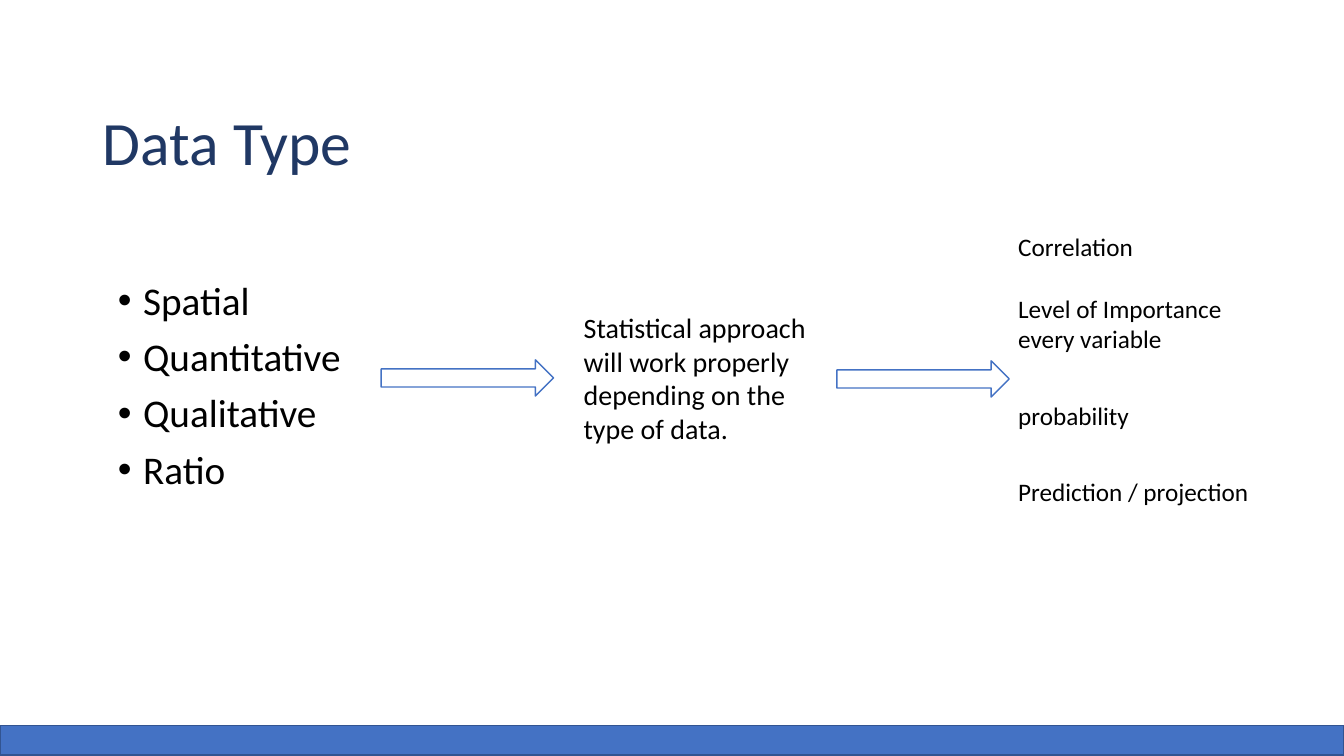
from pptx import Presentation
from pptx.dml.color import RGBColor
from pptx.enum.shapes import MSO_SHAPE
from pptx.enum.text import MSO_ANCHOR, MSO_AUTO_SIZE, PP_ALIGN
from pptx.oxml.xmlchemy import OxmlElement
from pptx.util import Inches, Pt

ARROW = MSO_SHAPE.RIGHT_ARROW
RECTANGLE = MSO_SHAPE.RECTANGLE
LEFT = PP_ALIGN.LEFT
TOP = MSO_ANCHOR.TOP
MIDDLE = MSO_ANCHOR.MIDDLE
FIXED = MSO_AUTO_SIZE.NONE
GROW = MSO_AUTO_SIZE.SHAPE_TO_FIT_TEXT

FONT = "Calibri"
BLACK, WHITE, NAVY = "000000", "FFFFFF", "203864"
BLUE, DARK_BLUE = "4472C4", "325491"

DATA_TYPES = ["Spatial", "Quantitative", "Qualitative", "Ratio"]
APPROACH = "Statistical approach will work properly depending on the type of data."
OUTCOMES = [
    ("Correlation", 2.25, 2.11, 0.4),
    ("Level of Importance every variable", 2.86, 2.65, 0.71),
    ("probability", 3.92, 2.65, 0.4),
    ("Prediction / projection", 4.68, 2.65, 0.4),
]
ARROWS = [(3.78, 3.57), (8.3, 3.58)]


def color(hex_text):
    """Turn a hex string into a colour."""
    return RGBColor.from_string(hex_text)


def place(shape, left, top, width, height):
    """Move and size a shape, in inches."""
    shape.left, shape.top = Inches(left), Inches(top)
    shape.width, shape.height = Inches(width), Inches(height)


def add_span(para, text, size, hex_text):
    """Add one formatted run to a left-aligned paragraph."""
    para.alignment = LEFT
    span = para.add_run()
    span.text = text
    span.font.name = FONT
    span.font.size = Pt(size)
    span.font.color.rgb = color(hex_text)


def set_bullet(para, indent):
    """Give a paragraph a round bullet with a hanging indent."""
    properties = para._p.get_or_add_pPr()
    properties.set("marL", str(Inches(indent)))
    properties.set("indent", str(-Inches(indent)))
    bullet = OxmlElement("a:buChar")
    bullet.set("char", "•")
    properties.append(bullet)


def fill_title(title, text):
    """Place and write the title."""
    place(title, 0.92, 1.03, 6.04, 0.82)
    frame = title.text_frame
    frame.auto_size = FIXED
    frame.vertical_anchor = MIDDLE
    para = frame.paragraphs[0]
    para.line_spacing = 0.9
    add_span(para, text, 44, NAVY)


def fill_list(body, items):
    """Place and write the bulleted list."""
    place(body, 1.07, 2.74, 3.59, 2.26)
    frame = body.text_frame
    frame.auto_size = FIXED
    frame.vertical_anchor = TOP
    for index, item in enumerate(items):
        para = frame.add_paragraph() if index else frame.paragraphs[0]
        para.line_spacing = 0.9
        para.space_before = Pt(10)
        set_bullet(para, 0.25)
        add_span(para, item, 28, BLACK)


def add_text(page, text, size, left, top, width, height):
    """Add a wrapping text box."""
    box = page.shapes.add_textbox(
        Inches(left), Inches(top), Inches(width), Inches(height))
    frame = box.text_frame
    frame.word_wrap = True
    frame.auto_size = GROW
    add_span(frame.paragraphs[0], text, size, BLACK)


def add_block(page, kind, left, top, width, height, fill, line):
    """Add a flat preset shape with a thin outline."""
    block = page.shapes.add_shape(
        kind, Inches(left), Inches(top), Inches(width), Inches(height))
    block.shadow.inherit = False
    block.fill.solid()
    block.fill.fore_color.rgb = color(fill)
    block.line.color.rgb = color(line)
    block.line.width = Pt(1)


def main():
    """Build and save the slide."""
    deck = Presentation()
    deck.slide_width, deck.slide_height = Inches(13.33), Inches(7.5)
    page = deck.slides.add_slide(deck.slide_layouts[1])
    fill_title(page.shapes.title, "Data Type")
    fill_list(page.placeholders[1], DATA_TYPES)
    add_text(page, APPROACH, 20, 5.69, 3.03, 2.62, 1.45)
    for text, top, width, height in OUTCOMES:
        add_text(page, text, 18, 10, top, width, height)
    for left, top in ARROWS:
        add_block(page, ARROW, left, top, 1.71, 0.36, WHITE, BLUE)
    add_block(page, RECTANGLE, 0, 7.2, 13.33, 0.29, BLUE, DARK_BLUE)
    deck.save("out.pptx")


if __name__ == "__main__":
    main()
